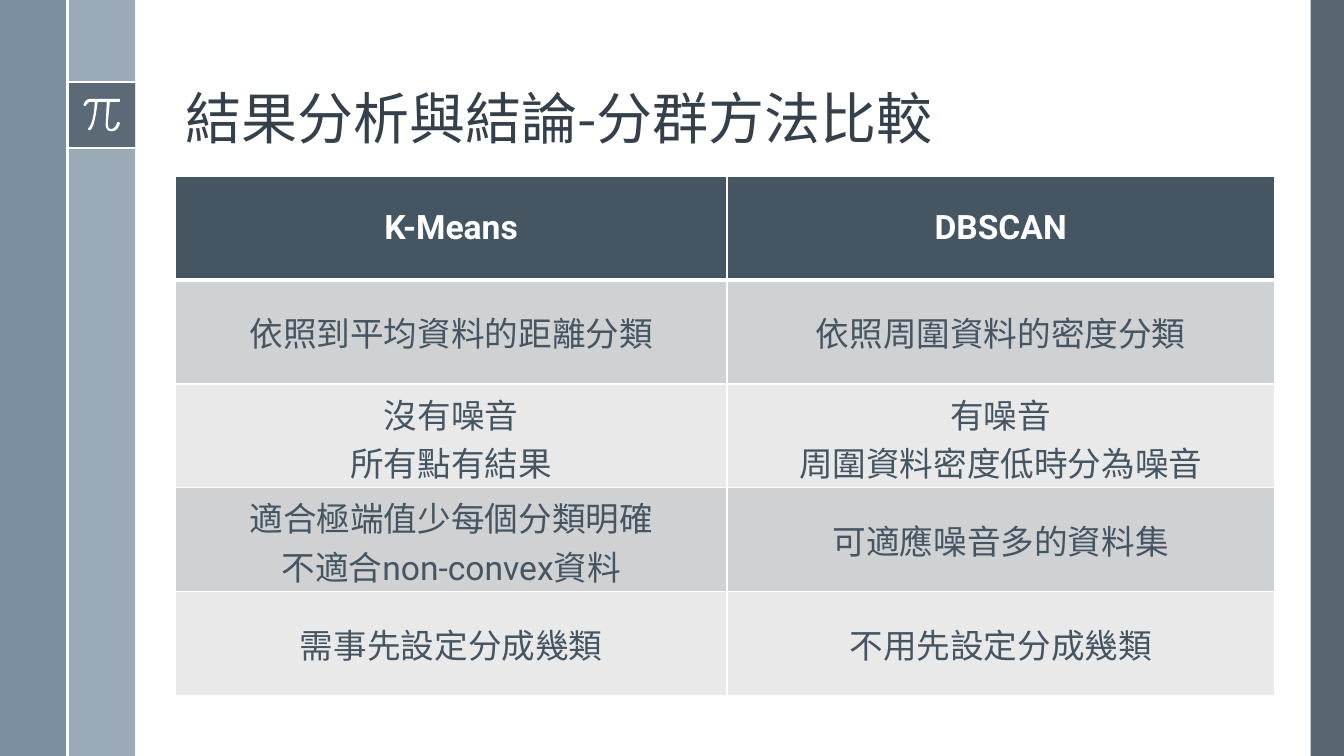
from lxml import etree
from pptx import Presentation
from pptx import util as u
from pptx.dml.color import RGBColor
from pptx.enum import shapes, text
from pptx.oxml.ns import qn

CJK_FONT = "Noto Sans CJK TC"
LATIN_FONT = "Roboto"
WHITE = "FFFFFF"
SLATE = "475562"
TABLE_SLATE = "465562"
BANDS = ["CFD1D3", "E9E9EA"]

# Each cell is a list of its paragraphs.
COMPARISON = [
    (["K-Means"], ["DBSCAN"]),
    (["依照到平均資料的距離分類"], ["依照周圍資料的密度分類"]),
    (["沒有噪音", "所有點有結果"], ["有噪音", "周圍資料密度低時分為噪音"]),
    (["適合極端值少每個分類明確", "不適合non-convex資料"], ["可適應噪音多的資料集"]),
    (["需事先設定分成幾類"], ["不用先設定分成幾類"]),
]

# Pairs are corners; six numbers are two control points and an end point.
PI_OUTLINE = [
    (1.18, 0.98), (0.9, 0.98),
    (0.85, 0.98, 0.83, 1.03, 0.83, 1.04),
    (0.83, 1.04, 0.83, 1.05, 0.84, 1.05), (0.85, 1.05),
    (0.85, 1.05, 0.87, 1.01, 0.9, 1.01), (0.94, 1.01),
    (0.94, 1.05, 0.93, 1.22, 0.88, 1.27),
    (0.87, 1.28, 0.87, 1.28, 0.88, 1.29), (0.9, 1.29),
    (0.95, 1.23, 0.96, 1.05, 0.97, 1.01), (1.06, 1.01), (1.05, 1.22),
    (1.05, 1.22, 1.04, 1.26, 1.07, 1.29),
    (1.08, 1.3, 1.09, 1.3, 1.1, 1.3),
    (1.11, 1.3, 1.11, 1.3, 1.12, 1.3),
    (1.17, 1.3, 1.19, 1.23, 1.19, 1.22),
    (1.19, 1.22, 1.18, 1.21, 1.18, 1.21),
    (1.17, 1.21, 1.16, 1.21, 1.16, 1.22),
    (1.16, 1.22, 1.15, 1.27, 1.11, 1.28),
    (1.1, 1.28, 1.09, 1.28, 1.08, 1.27),
    (1.07, 1.26, 1.07, 1.23, 1.07, 1.22), (1.09, 1.01), (1.18, 1.01),
    (1.19, 1.01, 1.19, 1, 1.19, 1),
    (1.19, 0.99, 1.19, 0.98, 1.18, 0.98),
]


def paint(fill, color, opacity=100):
    fill.solid()
    fill.fore_color.rgb = RGBColor.from_string(color)
    if opacity < 100:
        tint = fill._xPr.find(".//" + qn("a:srgbClr"))
        etree.SubElement(tint, qn("a:alpha"), val=str(opacity * 1000))


def finish_shape(shape, color, opacity=100):
    shape.shadow.inherit = False
    shape.line.fill.background()
    paint(shape.fill, color, opacity)


def add_panel(page, left, top, width, height, color, opacity=100):
    panel = page.shapes.add_shape(
        shapes.MSO_SHAPE.RECTANGLE,
        *map(u.Inches, (left, top, width, height)))
    finish_shape(panel, color, opacity)


def add_rule(page, x1, y1, x2, y2):
    rule = page.shapes.add_connector(
        shapes.MSO_CONNECTOR.STRAIGHT, *map(u.Inches, (x1, y1, x2, y2)))
    paint(rule.line.fill, WHITE)
    rule.line.width = u.Pt(1.5)
    etree.SubElement(rule._element.spPr, qn("a:effectLst"))


def trace(outline, steps=6):
    """Turn corners and Bézier curves into a list of points."""
    points = []
    for part in outline:
        if len(part) == 2:
            points.append(part)
            continue
        x0, y0 = points[-1]
        x1, y1, x2, y2, x3, y3 = part
        for step in range(1, steps + 1):
            t = step / steps
            a, b, c, d = (1 - t) ** 3, 3 * t * (1 - t) ** 2, 3 * t * t * (1 - t), t ** 3
            points.append((a * x0 + b * x1 + c * x2 + d * x3,
                           a * y0 + b * y1 + c * y2 + d * y3))
    return points


def add_pi(page):
    points = [(u.Inches(x), u.Inches(y)) for x, y in trace(PI_OUTLINE)]
    builder = page.shapes.build_freeform(*points[0])
    builder.add_line_segments(points[1:], close=True)
    finish_shape(builder.convert_to_shape(), WHITE)


def add_span(para, words, size, color, latin, bold=False):
    span = para.add_run()
    span.text = words
    span.font.size = u.Pt(size)
    span.font.bold = bold
    span.font.name = latin
    span.font.color.rgb = RGBColor.from_string(color)
    etree.SubElement(span.font._element, qn("a:ea"), typeface=CJK_FONT)


def add_title(page, words):
    box = page.shapes.add_textbox(*map(u.Inches, (1.74, 0.19, 10.7, 1.36)))
    frame = box.text_frame
    frame.word_wrap = True
    frame.vertical_anchor = text.MSO_ANCHOR.BOTTOM
    para = frame.paragraphs[0]
    para.line_spacing = 0.9
    add_span(para, words, 40, "35404A", CJK_FONT)


def set_borders(cell, widths):
    """Draw white borders; widths holds points for each of L, R, T and B."""
    properties = cell._tc.get_or_add_tcPr()
    for index, (side, width) in enumerate(widths.items()):
        border = etree.Element(qn("a:ln" + side), w=str(u.Pt(width)))
        solid = etree.SubElement(border, qn("a:solidFill"))
        etree.SubElement(solid, qn("a:srgbClr"), val=WHITE)
        properties.insert(index, border)


def fill_cell(cell, lines, row):
    header = row == 0
    paint(cell.fill, TABLE_SLATE if header else BANDS[(row - 1) % 2])
    set_borders(cell, {"L": 1, "R": 1, "T": 3 if row == 1 else 1,
                       "B": 3 if header else 1})
    cell.vertical_anchor = text.MSO_ANCHOR.MIDDLE
    frame = cell.text_frame
    for index, line in enumerate(lines):
        para = frame.add_paragraph() if index else frame.paragraphs[0]
        para.alignment = text.PP_ALIGN.CENTER
        add_span(para, line, 24, WHITE if header else TABLE_SLATE,
                 LATIN_FONT, header)


def add_comparison(page):
    frame = page.shapes.add_table(
        len(COMPARISON), 2, *map(u.Inches, (1.74, 1.75, 10.9, 5.15)))
    table = frame.table
    for column, width in zip(table.columns, (5.47, 5.43)):
        column.width = u.Inches(width)
    for row, contents in enumerate(COMPARISON):
        table.rows[row].height = u.Inches(1.03)
        for column, lines in enumerate(contents):
            fill_cell(table.cell(row, column), lines, row)


def main():
    deck = Presentation()
    deck.slide_width = u.Inches(13.33)
    deck.slide_height = u.Inches(7.5)
    page = deck.slides.add_slide(deck.slide_layouts[6])
    paint(page.background.fill, WHITE)

    add_panel(page, 13, 0, 0.33, 7.5, SLATE, 90)
    add_panel(page, 0.67, 0, 0.67, 7.5, "9BAAB7")
    add_panel(page, 0, 0, 0.67, 7.5, "6A8093", 88)
    add_panel(page, 0.67, 0.81, 0.67, 0.67, SLATE, 75)
    for y in (0.81, 1.47):
        add_rule(page, 0.67, y, 1.34, y)
    add_pi(page)
    add_rule(page, 0.67, 0, 0.67, 7.5)

    add_title(page, "結果分析與結論-分群方法比較")
    add_comparison(page)
    deck.save("out.pptx")


if __name__ == "__main__":
    main()
